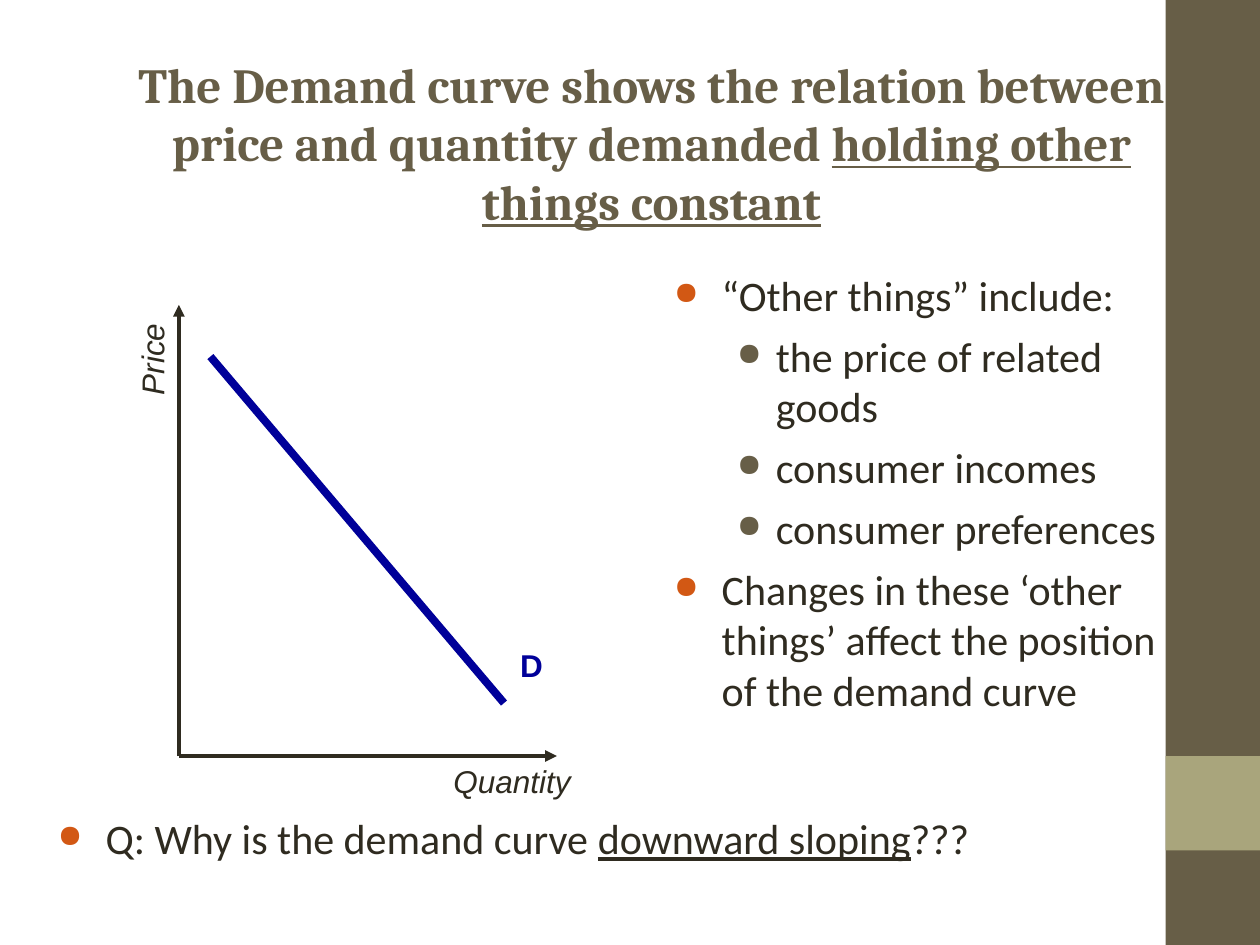
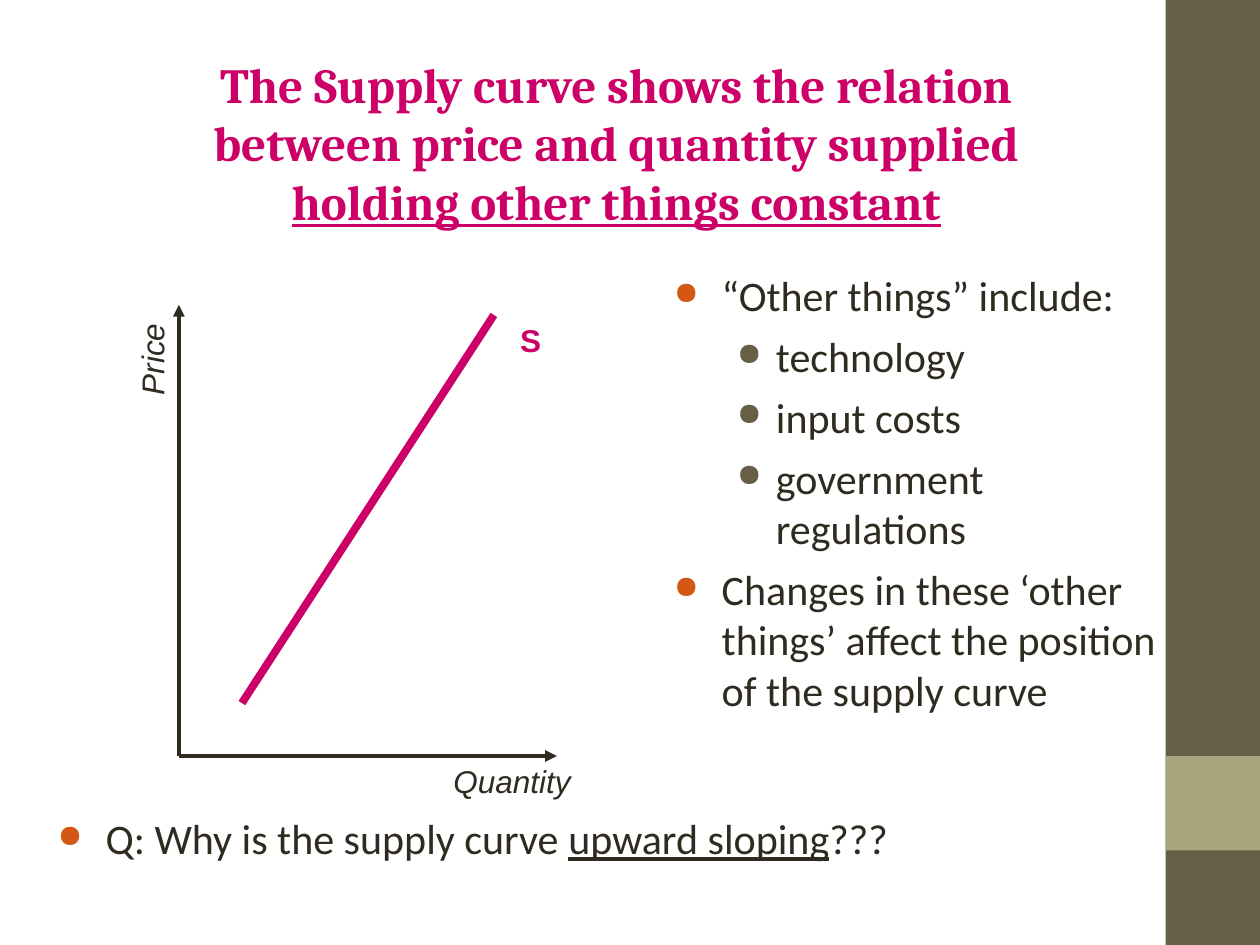
"""Build two slides that explain the demand curve and the supply curve."""
from lxml import etree
from pptx import Presentation
from pptx.dml.color import RGBColor
from pptx.enum.shapes import MSO_CONNECTOR, MSO_SHAPE
from pptx.enum.text import MSO_AUTO_SIZE, PP_ALIGN
from pptx.oxml.ns import qn
from pptx.util import Inches, Pt

STRAIGHT = MSO_CONNECTOR.STRAIGHT
RECTANGLE = MSO_SHAPE.RECTANGLE
CENTER = PP_ALIGN.CENTER
LEFT = PP_ALIGN.LEFT
FIT_SHAPE = MSO_AUTO_SIZE.SHAPE_TO_FIT_TEXT

COLORS = {
    "ink": "2F2B20",
    "band": "675E47",
    "accent": "A9A57C",
    "bullet": "D25814",
    "demand": "000099",
    "supply": "CC0066",
}
ORIGIN = (1.42, 6)
PRICE_END = (1.42, 2.42)
QUANTITY_END = (4.42, 6)
BULLETS = [(0.38, -0.38, "bullet"), (0.81, -0.31, "band")]

CURVES = [
    {
        "title": ["The Demand curve shows the relation between price and "
                  "quantity demanded ", "holding other things constant"],
        "title_width": 8.5,
        "title_color": "band",
        "color": "demand",
        "factors": ["the price of related goods", "consumer incomes",
                    "consumer preferences"],
        "change": "Changes in these ‘other things’ affect the position of "
                  "the demand curve",
        "line": ((1.67, 2.83), (4, 5.58)),
        "label": ("D", (4.03, 5.08, 0.38, 0.4)),
        "question": ["Q: Why is the demand curve ", "downward sloping", "???"],
    },
    {
        "title": ["The Supply curve shows the relation between price and "
                  "quantity supplied ", "holding other things constant"],
        "title_width": 7.94,
        "title_color": "supply",
        "color": "supply",
        "factors": ["technology", "input costs", "government regulations"],
        "change": "Changes in these ‘other things’ affect the position of "
                  "the supply curve",
        "line": ((1.92, 5.58), (3.92, 2.5)),
        "label": ("S", (4.03, 2.5, 0.36, 0.4)),
        "question": ["Q: Why is the supply curve ", "upward sloping", "???"],
    },
]


def rgb(name):
    """Return the named colour."""
    return RGBColor.from_string(COLORS[name])


def add_band(s, top, height, color):
    """Add a block of the band at the right edge."""
    sp = s.shapes.add_shape(RECTANGLE, Inches(9.25), Inches(top),
                            Inches(0.75), Inches(height))
    sp.shadow.inherit = False
    sp.fill.solid()
    sp.fill.fore_color.rgb = rgb(color)
    sp.line.fill.background()


def add_box(s, box):
    """Add a wrapping text box."""
    sp = s.shapes.add_textbox(*(Inches(v) for v in box))
    sp.text_frame.word_wrap = True
    return sp


def write(p, parts, font, size, color, bold=False, italic=False, align=LEFT):
    """Fill a paragraph with runs, underlining every second one."""
    p.alignment = align
    for i, part in enumerate(parts):
        r = p.add_run()
        r.text = part
        r.font.name = font
        r.font.size = Pt(size)
        r.font.bold = bold
        r.font.italic = italic
        r.font.underline = i % 2 == 1
        r.font.color.rgb = rgb(color)


def add_bullet(p, level):
    """Give a paragraph the indent and bullet of its level."""
    margin, indent, color = BULLETS[level]
    p.level = level
    p.space_before = Pt(6)
    pPr = p._p.get_or_add_pPr()
    pPr.set("marL", str(Inches(margin)))
    pPr.set("indent", str(Inches(indent)))
    buClr = etree.SubElement(pPr, qn("a:buClr"))
    etree.SubElement(buClr, qn("a:srgbClr"), val=COLORS[color])
    etree.SubElement(pPr, qn("a:buSzPct"), val="75000")
    etree.SubElement(pPr, qn("a:buChar"), char="●")


def add_list(s, box, items):
    """Add a bulleted list of (level, runs) items."""
    tf = add_box(s, box).text_frame
    for i, (level, parts) in enumerate(items):
        p = tf.add_paragraph() if i else tf.paragraphs[0]
        write(p, parts, "Calibri", 24, "ink")
        add_bullet(p, level)


def add_title(s, parts, width, color):
    """Add the centred slide title."""
    tf = add_box(s, (0.92, 0.38, width, 1.21)).text_frame
    write(tf.paragraphs[0], parts, "Cambria", 28, color, bold=True, align=CENTER)


def add_label(s, text, box, color="ink", rotation=0, bold=False):
    """Add a graph label, italic unless it is bold."""
    sp = add_box(s, box)
    sp.rotation = rotation
    tf = sp.text_frame
    tf.word_wrap = False
    tf.auto_size = FIT_SHAPE
    write(tf.paragraphs[0], [text], "Arial", 18, color, bold, not bold)


def add_line(s, start, end, color, width, arrow=False):
    """Add a straight line, with an arrowhead at its end if asked."""
    line = s.shapes.add_connector(STRAIGHT, *(Inches(v) for v in start + end))
    line.line.color.rgb = rgb(color)
    line.line.width = Pt(width)
    if arrow:
        etree.SubElement(line.line._get_or_add_ln(), qn("a:tailEnd"),
                         type="triangle")
    etree.SubElement(line._element.spPr, qn("a:effectLst"))


def add_graph(s, curve):
    """Add the price and quantity axes and the curve with its label."""
    for end in (PRICE_END, QUANTITY_END):
        add_line(s, ORIGIN, end, "ink", 2.25, arrow=True)
    add_label(s, "Quantity", (3.5, 6, 1.13, 0.4))
    add_label(s, "Price", (0.82, 2.65, 0.77, 0.4), rotation=270)
    add_line(s, *curve["line"], curve["color"], 4.5)
    add_label(s, *curve["label"], curve["color"], bold=True)


def add_curve_slide(prs, curve):
    """Add a slide about one curve."""
    s = prs.slides.add_slide(prs.slide_layouts[6])
    add_band(s, 0, 7.5, "band")
    add_band(s, 6, 0.75, "accent")
    add_title(s, curve["title"], curve["title_width"], curve["title_color"])
    factors = [(1, [factor]) for factor in curve["factors"]]
    add_list(s, (5.25, 2.09, 4.17, 4.5),
             [(0, ["“Other things” include:"]), *factors, (0, [curve["change"]])])
    add_graph(s, curve)
    add_list(s, (0.36, 6.4, 8.54, 0.84), [(0, curve["question"])])


def main():
    """Build and save the presentation."""
    prs = Presentation()
    prs.slide_width = Inches(10)
    prs.slide_height = Inches(7.5)
    for curve in CURVES:
        add_curve_slide(prs, curve)
    prs.save("out.pptx")


if __name__ == "__main__":
    main()
